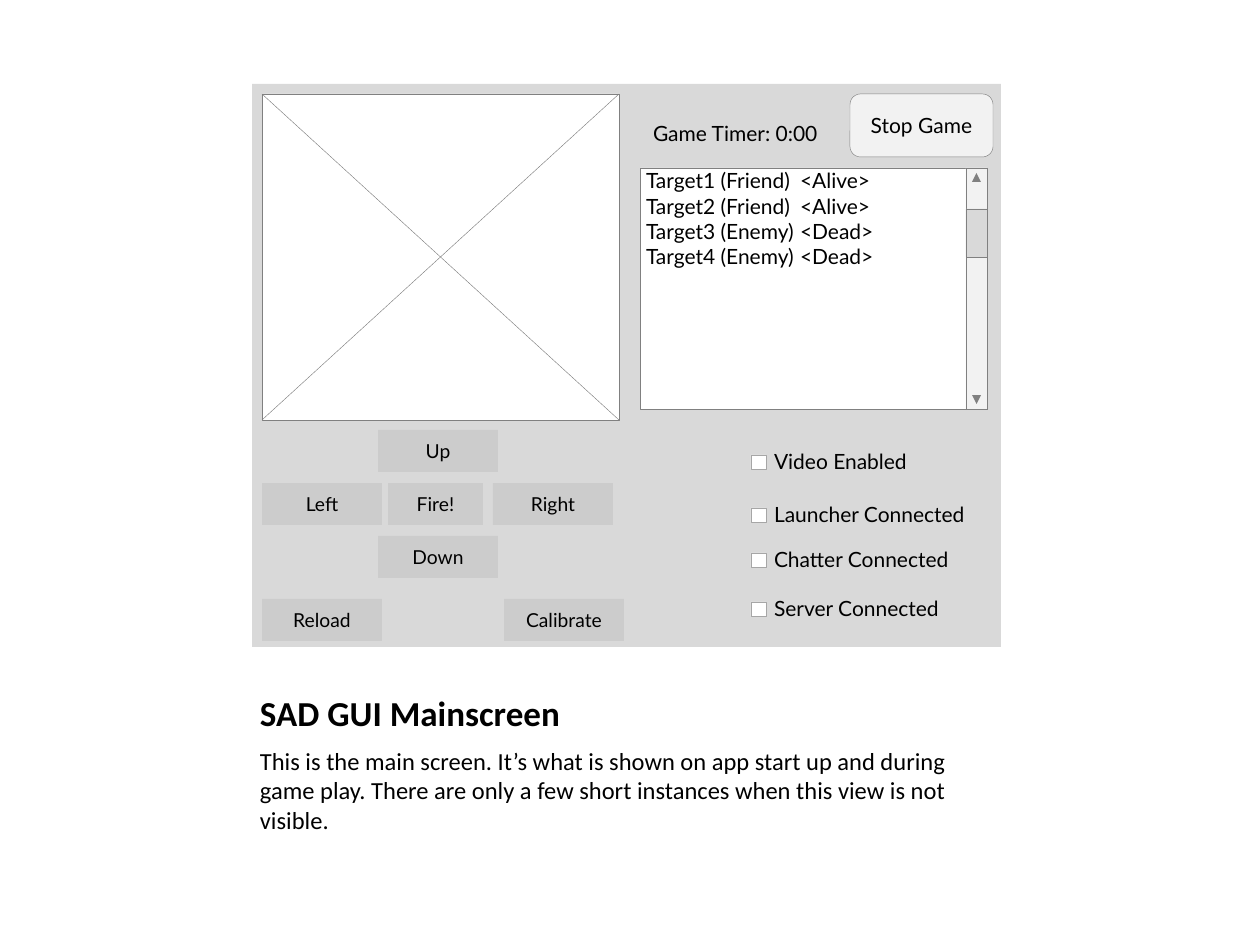
import pptx
import pptx.dml.color
import pptx.enum.shapes
import pptx.enum.text
import pptx.oxml.ns
import pptx.util
from dataclasses import dataclass
from lxml import etree

SCALE = pptx.util.Inches(1) / 126  # EMU in one px
SHAPES = pptx.enum.shapes.MSO_SHAPE
ALIGN = pptx.enum.text.PP_ALIGN
ANCHOR = pptx.enum.text.MSO_ANCHOR


@dataclass(frozen=True)
class Theme:
    text: str = "000000"
    window: str = "D9D9D9"
    button: str = "CCCCCC"
    light: str = "F2F2F2"
    paper: str = "FFFFFF"
    border: str = "808080"
    box_border: str = "A6A6A6"
    heading_font: str = "Calibri"
    widget_font: str = "Lato"
    title_size: int = 20
    body_size: int = 14
    label_size: int = 12
    button_size: int = 11
    hairline: float = 0.25


THEME = Theme()


def emu(*lengths):
    return [pptx.util.Emu(round(length * SCALE)) for length in lengths]


def rgb(code):
    return pptx.dml.color.RGBColor.from_string(code)


def add_tab_stop(para, position):
    """Put a left tab stop at the given px from the text edge."""
    properties = para._p.get_or_add_pPr()
    stops = etree.SubElement(properties, pptx.oxml.ns.qn("a:tabLst"))
    etree.SubElement(stops, pptx.oxml.ns.qn("a:tab"),
                     pos=str(emu(position)[0]), algn="l")


def write(box, lines, size, font=THEME.widget_font, bold=False, align=ALIGN.LEFT,
          anchor=ANCHOR.MIDDLE, insets=(13, 6, 13, 6), tab=None):
    frame = box.text_frame
    frame.word_wrap = True
    frame.vertical_anchor = anchor
    (frame.margin_left, frame.margin_top,
     frame.margin_right, frame.margin_bottom) = emu(*insets)
    for index, line in enumerate(lines):
        para = frame.add_paragraph() if index else frame.paragraphs[0]
        para.text = line
        para.alignment = align
        if tab:
            add_tab_stop(para, tab)
        para.font.name = font
        para.font.size = pptx.util.Pt(size)
        para.font.bold = bold
        para.font.color.rgb = rgb(THEME.text)


def add_text(page, bounds, lines, size, **style):
    write(page.shapes.add_textbox(*emu(*bounds)), lines, size, **style)


def add_block(page, bounds, fill, border=None, kind=SHAPES.RECTANGLE):
    block = page.shapes.add_shape(kind, *emu(*bounds))
    block.shadow.inherit = False
    block.fill.solid()
    block.fill.fore_color.rgb = rgb(fill)
    if border:
        block.line.color.rgb = rgb(border)
        block.line.width = pptx.util.Pt(THEME.hairline)
    else:
        block.line.fill.background()
    return block


def add_line(page, *ends):
    line = page.shapes.add_connector(
        pptx.enum.shapes.MSO_CONNECTOR.STRAIGHT, *emu(*ends))
    line.line.color.rgb = rgb(THEME.border)
    line.line.width = pptx.util.Pt(THEME.hairline)
    etree.SubElement(line._element.spPr, pptx.oxml.ns.qn("a:effectLst"))


def add_video_area(page, left, top, width, height):
    right, bottom = left + width, top + height
    add_block(page, (left, top, width, height), THEME.paper, THEME.border)
    add_line(page, left, top, right, bottom)
    add_line(page, left, bottom, right, top)


def add_button(page, label, left, top, width=120):
    button = add_block(page, (left, top, width, 42), THEME.button)
    write(button, [label], THEME.button_size, align=ALIGN.CENTER)


def add_checkbox(page, label, middle):
    left = 751
    add_text(page, (left, middle - 21, 245, 42), [label], THEME.label_size,
             insets=(23, 3, 6, 4))
    add_block(page, (left, middle - 7, 15, 14), THEME.paper, THEME.box_border)


def add_target_list(page, left, top, width, height, targets):
    bar_width, arrow = 21, 9
    bar_left = left + width - bar_width
    arrow_left = bar_left + (bar_width - arrow) / 2
    bounds = (left, top, width, height)
    add_block(page, bounds, THEME.paper, THEME.border)
    add_text(page, bounds, targets, THEME.label_size, anchor=ANCHOR.TOP,
             insets=(6, 0, 0, 3), tab=154)
    add_block(page, (bar_left, top, bar_width, height), THEME.light, THEME.border)
    add_block(page, (bar_left, top + 41, bar_width, 48), THEME.window, THEME.border)
    for arrow_top, turn in ((top + 5, 0), (top + height - 5 - arrow, 180)):
        triangle = add_block(page, (arrow_left, arrow_top, arrow, arrow),
                             THEME.border, kind=SHAPES.ISOSCELES_TRIANGLE)
        triangle.rotation = turn


def add_stop_button(page):
    button = add_block(page, (850, 94, 143, 63), THEME.light, THEME.border,
                       SHAPES.ROUNDED_RECTANGLE)
    write(button, ["Stop Game"], THEME.label_size, align=ALIGN.CENTER,
          insets=(13, 0, 13, 1))


def main():
    deck = pptx.Presentation()
    deck.slide_width, deck.slide_height = emu(1260, 945)
    page = deck.slides.add_slide(deck.slide_layouts[6])

    add_text(page, (247, 662, 756, 78), ["SAD GUI Mainscreen"], THEME.title_size,
             font=THEME.heading_font, bold=True, anchor=ANCHOR.BOTTOM)
    add_text(page, (247, 740, 756, 110),
             ["This is the main screen. It’s what is shown on app start up and during "
              "game play. There are only a few short instances when this view is not "
              "visible."],
             THEME.body_size, font=THEME.heading_font, anchor=ANCHOR.TOP)

    add_block(page, (252, 84, 749, 563), THEME.window)
    add_video_area(page, 262, 94, 357, 326)

    for label, left, top in (("Left", 262, 483), ("Right", 493, 483),
                             ("Up", 378, 430), ("Down", 378, 536),
                             ("Reload", 262, 599), ("Calibrate", 504, 599)):
        add_button(page, label, left, top)
    add_button(page, "Fire!", 388, 483, width=95)

    for label, middle in (("Video Enabled", 462), ("Launcher Connected", 515),
                          ("Chatter Connected", 560), ("Server Connected", 609)):
        add_checkbox(page, label, middle)

    add_target_list(page, 640, 168, 347, 241,
                    ["Target1 (Friend)\t<Alive>", "Target2 (Friend)\t<Alive>",
                     "Target3 (Enemy)\t<Dead>", "Target4 (Enemy)\t<Dead>"])
    add_text(page, (640, 118, 220, 32), ["Game Timer: 0:00"], THEME.label_size,
             insets=(13, 3, 13, 4))
    add_stop_button(page)
    deck.save("out.pptx")


if __name__ == "__main__":
    main()
